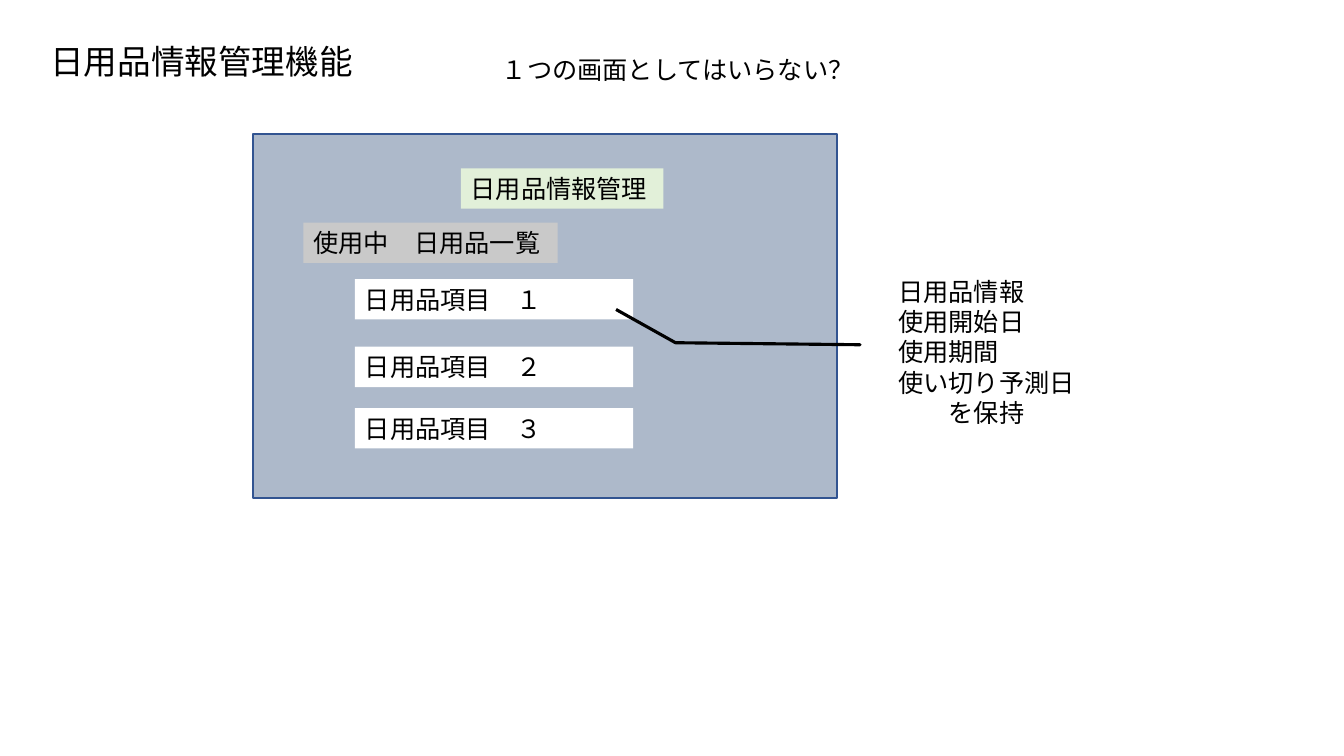
from lxml import etree
from pptx import Presentation
from pptx.dml.color import RGBColor
from pptx.enum import shapes, text
from pptx.oxml.ns import qn
from pptx.util import Inches, Pt

FONT = "Noto Sans CJK JP"
BLACK = RGBColor(0x00, 0x00, 0x00)
WHITE = RGBColor(0xFF, 0xFF, 0xFF)
PANEL = RGBColor(0xAD, 0xB9, 0xCA)
EDGE = RGBColor(0x32, 0x54, 0x91)
GREEN = RGBColor(0xE2, 0xF0, 0xD9)
GRAY = RGBColor(0xC9, 0xC9, 0xC9)

deck = Presentation()
deck.slide_width, deck.slide_height = Inches(13.33), Inches(7.5)
slide = deck.slides.add_slide(deck.slide_layouts[6])


def label(words, left, top, width, height=0.4, fill=None, size=18):
    """Add a text box, filled if a colour is given."""
    box = slide.shapes.add_textbox(*map(Inches, (left, top, width, height)))
    if fill is not None:
        box.fill.solid()
        box.fill.fore_color.rgb = fill
    frame = box.text_frame
    frame.word_wrap = True
    frame.auto_size = text.MSO_AUTO_SIZE.SHAPE_TO_FIT_TEXT
    frame.text = words
    for para in frame.paragraphs:
        font = para.font
        font.size = Pt(size)
        font.name = FONT
        font.color.rgb = BLACK
        props = para._p.pPr.find(qn("a:defRPr"))
        etree.SubElement(props, qn("a:ea"), typeface=FONT)


# Screen mock-up
panel = slide.shapes.add_shape(
    shapes.MSO_SHAPE.RECTANGLE, *map(Inches, (2.51, 1.33, 5.79, 3.61)))
panel.shadow.inherit = False
panel.fill.solid()
panel.fill.fore_color.rgb = PANEL
panel.line.color.rgb = EDGE
panel.line.width = Pt(1)

label("日用品情報管理", 4.57, 1.67, 2.01, fill=GREEN)
label("使用中　日用品一覧", 3.01, 2.21, 2.52, fill=GRAY)
for mark, top in zip("１２３", (2.77, 3.44, 4.05)):
    label(f"日用品項目　{mark}", 3.52, top, 2.76, fill=WHITE)

# Leader line from the first item to its details
points = [(Inches(x), Inches(y))
          for x, y in ((6.11, 3.07), (6.7, 3.4), (8.53, 3.42), (8.51, 3.42))]
path = slide.shapes.build_freeform(*points[0])
path.add_line_segments(points[1:], close=False)
leader = path.convert_to_shape()
leader.shadow.inherit = False
leader.fill.background()
leader.line.color.rgb = BLACK
leader.line.width = Pt(2.25)

label("日用品情報\n使用開始日\n使用期間\n使い切り予測日\n\tを保持",
      8.81, 2.69, 2.02, 1.62)

# Headings
label("１つの画面としてはいらない？", 4.88, 0.49, 4.8)
label("日用品情報管理機能", 0.4, 0.36, 3.27, 0.5, size=24)

deck.save("out.pptx")
